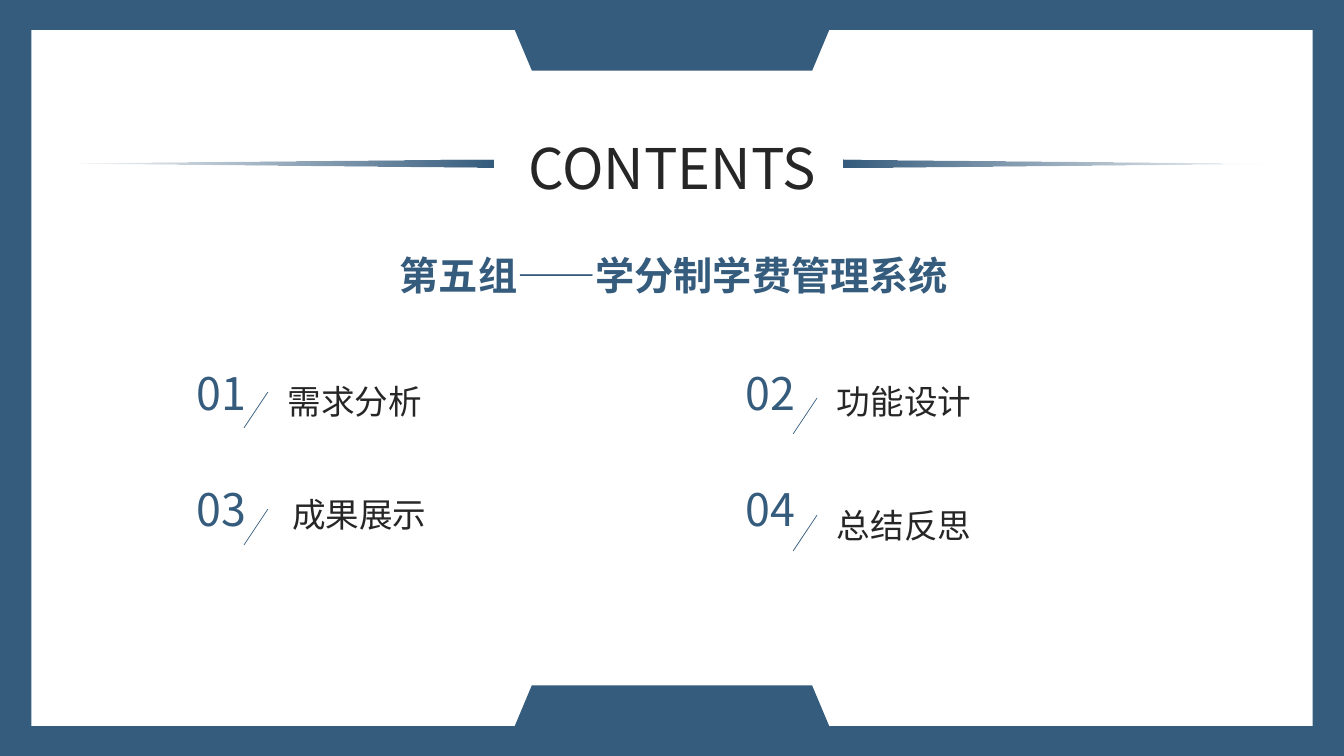
from dataclasses import dataclass

from lxml.etree import SubElement
from pptx import Presentation
from pptx.dml.color import RGBColor
from pptx.enum.shapes import MSO_CONNECTOR, MSO_SHAPE
from pptx.enum.text import MSO_ANCHOR, MSO_AUTO_SIZE, PP_ALIGN
from pptx.oxml.ns import qn
from pptx.util import Cm, Pt


@dataclass(frozen=True)
class Theme:
    font: str = "Noto Sans CJK SC"
    blue: RGBColor = RGBColor(0x35, 0x5C, 0x7D)
    dark: RGBColor = RGBColor(0x26, 0x26, 0x26)
    white: RGBColor = RGBColor(0xFF, 0xFF, 0xFF)
    title_size: Pt = Pt(40)
    number_size: Pt = Pt(32)
    subtitle_size: Pt = Pt(28)
    label_size: Pt = Pt(24)
    slash_width: Pt = Pt(0.5)


THEME = Theme()
SLIDE_WIDTH = 33.87
SLIDE_HEIGHT = 19.05
AGENDA = (
    ("01", "需求分析", (4.7, 9.09), (7.0, 9.47), (6.15, 9.88)),
    ("02", "功能设计", (18.54, 9.09), (20.84, 9.47), (19.99, 10.03)),
    ("03", "成果展示", (4.7, 12.01), (7.11, 12.32), (6.15, 12.83)),
    ("04", "总结反思", (18.54, 12.01), (20.84, 12.6), (19.99, 12.98)),
)


def apply_format(target, values):
    for name, value in values.items():
        setattr(target, name, value)


def write_text(shape, text, size, color, alignment=PP_ALIGN.LEFT, bold=False, side_margin=0.25):
    frame = shape.text_frame
    apply_format(frame, {
        "word_wrap": True,
        "auto_size": MSO_AUTO_SIZE.NONE,
        "vertical_anchor": MSO_ANCHOR.TOP,
        "margin_left": Cm(side_margin),
        "margin_right": Cm(side_margin),
        "margin_top": Cm(0.13),
        "margin_bottom": Cm(0.13),
    })
    paragraph = frame.paragraphs[0]
    apply_format(paragraph, {"alignment": alignment, "line_spacing": 1.0, "space_before": Pt(0)})
    run = paragraph.add_run()
    run.text = text
    apply_format(run.font, {"name": THEME.font, "size": size, "bold": bold})
    run.font.color.rgb = color
    SubElement(run.font._element, qn("a:ea"), typeface=THEME.font)


def add_text(slide, left, top, width, height, text, size, color, **options):
    box = slide.shapes.add_textbox(Cm(left), Cm(top), Cm(width), Cm(height))
    write_text(box, text, size, color, **options)


def add_plain_shape(shapes, kind, left, top, width, height, rotation=0):
    shape = shapes.add_shape(kind, Cm(left), Cm(top), Cm(width), Cm(height))
    shape.shadow.inherit = False
    shape.line.fill.background()
    shape.rotation = rotation
    return shape


def add_panel(slide):
    left, top = 0.79, 0.76
    panel = add_plain_shape(slide.shapes, MSO_SHAPE.RECTANGLE, left, top,
                            SLIDE_WIDTH - 2 * left, SLIDE_HEIGHT - 2 * top)
    panel.fill.solid()
    panel.fill.fore_color.rgb = THEME.white


def add_tab(slide, top, rotation):
    width = 7.92
    tab = add_plain_shape(slide.shapes, MSO_SHAPE.TRAPEZOID,
                          (SLIDE_WIDTH - width) / 2, top, width, 1.02, rotation)
    tab.adjustments[0] = 0.42
    tab.fill.solid()
    tab.fill.fore_color.rgb = THEME.blue


def add_wedge(group, center, rotation):
    width, length = 0.2, 10.87
    wedge = add_plain_shape(group.shapes, MSO_SHAPE.ISOSCELES_TRIANGLE,
                            center - width / 2, 4.12 - length / 2, width, length, rotation)
    wedge.fill.gradient()
    wedge.fill.gradient_angle = 90
    for stop in wedge.fill.gradient_stops:
        stop.color.rgb = THEME.blue
    colors = list(wedge._element.spPr.iter(qn("a:srgbClr")))
    SubElement(colors[-1], qn("a:alpha"), val="0")


def add_title(slide):
    title = slide.shapes.title
    slide.shapes._spTree.append(title._element)
    apply_format(title, {"left": Cm(12.78), "top": Cm(3.23), "width": Cm(8.31), "height": Cm(1.8)})
    write_text(title, "CONTENTS", THEME.title_size, THEME.dark, alignment=PP_ALIGN.CENTER)


def add_slash(slide, left, top):
    slash = slide.shapes.add_connector(MSO_CONNECTOR.STRAIGHT, Cm(left + 0.6), Cm(top),
                                       Cm(left), Cm(top + 0.9))
    slash.line.color.rgb = THEME.blue
    slash.line.width = THEME.slash_width
    SubElement(slash._element.spPr, qn("a:effectLst"))


def add_agenda_item(slide, number, label, number_at, label_at, slash_at):
    add_text(slide, *number_at, 2.41, 1.5, number, THEME.number_size, THEME.blue)
    add_text(slide, *label_at, 8.31, 1.27, label, THEME.label_size, THEME.dark,
             alignment=PP_ALIGN.JUSTIFY)
    add_slash(slide, *slash_at)


def main():
    presentation = Presentation()
    presentation.slide_width = Cm(SLIDE_WIDTH)
    presentation.slide_height = Cm(SLIDE_HEIGHT)
    slide = presentation.slides.add_slide(presentation.slide_layouts[5])
    slide.background.fill.solid()
    slide.background.fill.fore_color.rgb = THEME.blue

    add_panel(slide)
    add_tab(slide, 0.76, 180)
    add_tab(slide, 17.27, 0)
    add_title(slide)
    wedges = slide.shapes.add_group_shape()
    add_wedge(wedges, 26.69, 90)
    add_wedge(wedges, 7.0, 270)
    add_text(slide, 7.11, 6.2, 19.74, 1.45, "第五组——学分制学费管理系统", THEME.subtitle_size,
             THEME.blue, alignment=PP_ALIGN.CENTER, bold=True, side_margin=0)
    for item in AGENDA:
        add_agenda_item(slide, *item)
    presentation.save("out.pptx")


if __name__ == "__main__":
    main()
